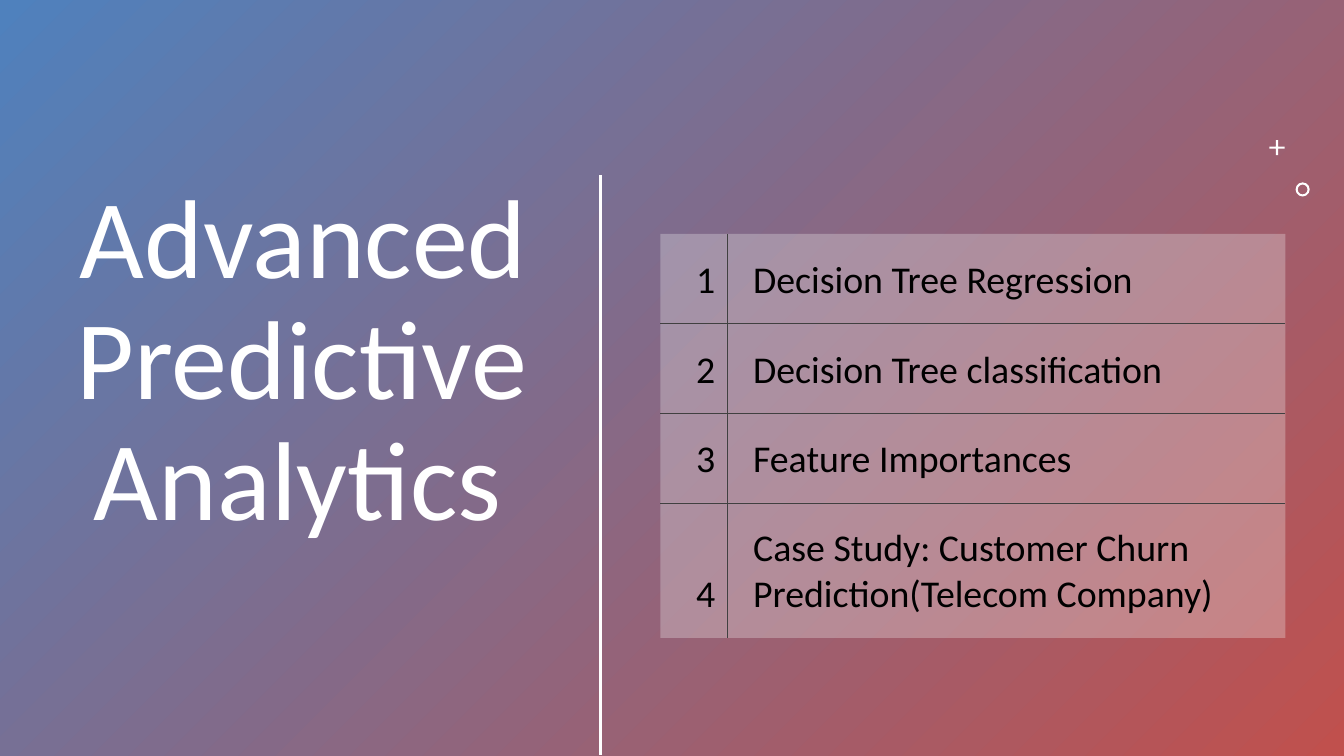
import dataclasses

import lxml.etree
import pptx
import pptx.dml.color
import pptx.enum.shapes
import pptx.enum.text
import pptx.oxml.ns
import pptx.util

Inches = pptx.util.Inches
Pt = pptx.util.Pt
Shape = pptx.enum.shapes.MSO_SHAPE
Align = pptx.enum.text.PP_ALIGN
Anchor = pptx.enum.text.MSO_ANCHOR
qn = pptx.oxml.ns.qn


@dataclasses.dataclass
class Theme:
    font: str = "Calibri"
    blue: str = "4F81BD"
    red: str = "C0504D"
    white: str = "FFFFFF"
    black: str = "000000"
    pale: str = "F2F2F2"
    grid: str = "404040"
    veil: int = 30
    head: float = 80
    body: float = 27
    rule: float = 2
    hair: float = 0.5


def color(code):
    return pptx.dml.color.RGBColor.from_string(code)


class Canvas:
    def __init__(self, slide, theme):
        self.slide = slide
        self.theme = theme

    def text(self, para, words, size, code):
        run = para.add_run()
        run.text = words
        run.font.name = self.theme.font
        run.font.size = Pt(size)
        run.font.color.rgb = color(code)

    def shape(self, kind, left, top, width, height):
        item = self.slide.shapes.add_shape(
            kind, Inches(left), Inches(top), Inches(width), Inches(height))
        item.shadow.inherit = False
        item.line.fill.background()
        return item

    def backdrop(self, width, height):
        item = self.shape(Shape.RECTANGLE, 0, 0, width, height)
        item.fill.gradient()
        item.fill.gradient_angle = 315
        for stop, code in zip(item.fill.gradient_stops, (self.theme.blue, self.theme.red)):
            stop.color.rgb = color(code)
        self.slide.shapes.title.element.addprevious(item.element)

    def title(self, words, left, top, width, height):
        item = self.slide.shapes.title
        item.left, item.top = Inches(left), Inches(top)
        item.width, item.height = Inches(width), Inches(height)
        frame = item.text_frame
        frame.word_wrap = True
        frame.auto_size = pptx.enum.text.MSO_AUTO_SIZE.NONE
        frame.vertical_anchor = Anchor.TOP
        para = frame.paragraphs[0]
        para.alignment = Align.RIGHT
        para.line_spacing = 0.9
        self.text(para, words, self.theme.head, self.theme.white)

    def line(self, left, top, right, bottom):
        item = self.slide.shapes.add_connector(
            pptx.enum.shapes.MSO_CONNECTOR.STRAIGHT,
            Inches(left), Inches(top), Inches(right), Inches(bottom))
        item.line.color.rgb = color(self.theme.white)
        item.line.width = Pt(self.theme.rule)
        lxml.etree.SubElement(item.element.spPr, qn("a:effectLst"))

    def icon(self, kind, left, top, size, ratio):
        item = self.shape(kind, left, top, size, size)
        item.adjustments[0] = ratio
        item.fill.solid()
        item.fill.fore_color.rgb = color(self.theme.white)

    def border(self, cell, sides):
        props = cell._tc.get_or_add_tcPr()
        for index, (side, shown) in enumerate(sides.items()):
            edge = lxml.etree.Element(qn("a:ln" + side), w=str(Pt(self.theme.hair)))
            props.insert(index, edge)
            if shown:
                fill = lxml.etree.SubElement(edge, qn("a:solidFill"))
                lxml.etree.SubElement(fill, qn("a:srgbClr"), val=self.theme.grid)
            else:
                lxml.etree.SubElement(edge, qn("a:noFill"))

    def cell(self, cell, words, align):
        cell.fill.solid()
        cell.fill.fore_color.rgb = color(self.theme.pale)
        tint = cell._tc.tcPr.find(".//" + qn("a:srgbClr"))
        lxml.etree.SubElement(tint, qn("a:alpha"), val=str(self.theme.veil * 1000))
        cell.vertical_anchor = Anchor.BOTTOM
        cell.margin_left, cell.margin_right = Inches(0.26), Inches(0.02)
        cell.margin_top = cell.margin_bottom = Inches(0.2)
        para = cell.text_frame.paragraphs[0]
        para.alignment = align
        self.text(para, words, self.theme.body, self.theme.black)

    def table(self, topics, left, top, widths, heights):
        last = len(topics) - 1
        grid = self.slide.shapes.add_table(
            len(topics), len(widths), Inches(left), Inches(top),
            Inches(sum(widths)), Inches(sum(heights))).table
        grid.first_row = grid.horz_banding = False
        for col, width in zip(grid.columns, widths):
            col.width = Inches(width)
        for index, (topic, height) in enumerate(zip(topics, heights)):
            grid.rows[index].height = Inches(height)
            pair = ((str(index + 1), Align.CENTER), (topic, Align.LEFT))
            for spot, (words, align) in enumerate(pair):
                cell = grid.cell(index, spot)
                self.cell(cell, words, align)
                self.border(cell, {"L": spot == 1, "R": spot == 0,
                                   "T": index > 0, "B": index < last})


def main():
    deck = pptx.Presentation()
    deck.slide_width, deck.slide_height = Inches(13.33), Inches(7.5)
    canvas = Canvas(deck.slides.add_slide(deck.slide_layouts[5]), Theme())
    canvas.backdrop(13.33, 7.5)
    canvas.title("Advanced Predictive Analytics ", 0.5, 1.75, 4.83, 3.97)
    canvas.line(5.96, 1.74, 5.96, 7.49)
    canvas.icon(Shape.CROSS, 12.59, 1.39, 0.15, 0.43)
    canvas.icon(Shape.DONUT, 12.85, 1.81, 0.14, 0.15)
    topics = ("Decision Tree Regression", "Decision Tree classification",
              "Feature Importances",
              "Case Study: Customer Churn Prediction(Telecom Company)")
    canvas.table(topics, 6.55, 2.32, (0.66, 5.54), (0.89, 0.89, 0.89, 1.34))
    deck.save("out.pptx")


if __name__ == "__main__":
    main()
